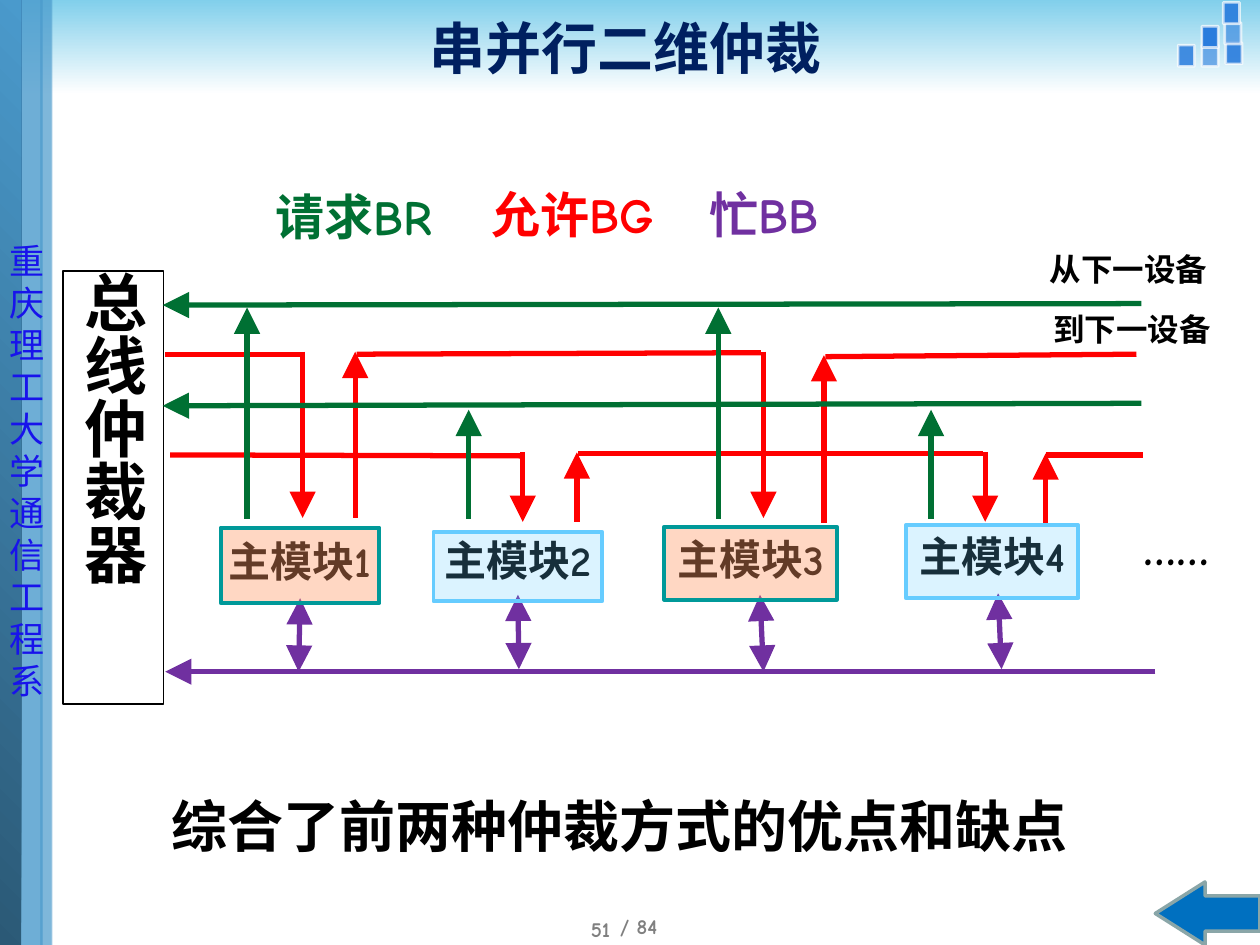
from lxml import etree
from pptx import Presentation
from pptx import util as u
from pptx.dml.color import RGBColor
from pptx.enum import lang, shapes, text
from pptx.oxml.ns import qn

SKY = RGBColor(0x81, 0xCF, 0xEB)
STEEL = RGBColor(0x4A, 0x9A, 0xCC)
DEEP = RGBColor(0x2B, 0x59, 0x76)
TILE = RGBColor(0x29, 0x7C, 0xDD)
WHITE = RGBColor(0xFF, 0xFF, 0xFF)
BLACK = RGBColor(0, 0, 0)
NAVY = RGBColor(0x00, 0x20, 0x60)
SIDE_BLUE = RGBColor(0x18, 0x13, 0xEB)
RED = RGBColor(0xFF, 0, 0)
GREEN = RGBColor(0x00, 0x70, 0x33)
PURPLE = RGBColor(0x70, 0x30, 0xA0)
ORANGE = RGBColor(0xFF, 0x99, 0x66)
TEAL = RGBColor(0x00, 0x99, 0x99)
LIGHT_BLUE = RGBColor(0x66, 0xCC, 0xFF)
ARROW_BLUE = RGBColor(0x00, 0x70, 0xC0)
ARROW_EDGE = RGBColor(0x8A, 0xA6, 0xA8)
GRAY = RGBColor(0x80, 0x80, 0x80)
FONT = "Comic Neue"

MODULES = [
    (4.45, 10.54, 3.2, 1.52, 10.64, ORANGE, 39, TEAL),
    (8.74, 10.59, 3.4, 1.4, 10.72, LIGHT_BLUE, 23, LIGHT_BLUE),
    (13.39, 10.52, 3.48, 1.47, 10.62, ORANGE, 39, TEAL),
    (18.26, 10.46, 3.48, 1.47, 10.59, LIGHT_BLUE, 23, LIGHT_BLUE),
]
BUSY_LINKS = [(6.02, 12.04, 6.02, 13.54), (10.46, 11.99, 10.46, 13.49),
              (15.32, 11.99, 15.39, 13.54), (20.12, 11.96, 20.19, 13.49)]
REQUESTS = [(23.01, 6.12, 3.28, 6.15), (23.01, 8.13, 3.28, 8.18),
            (4.98, 10.46, 4.98, 6.2), (14.48, 10.46, 14.48, 6.2),
            (9.45, 10.46, 9.45, 8.26), (18.77, 10.46, 18.77, 8.26)]
GRANT_WIRES = [(3.33, 7.14, 6.07, 7.14), (7.19, 7.14, 15.34, 7.11),
               (16.64, 7.19, 22.91, 7.14), (3.43, 9.17, 10.54, 9.19),
               (11.66, 9.14, 19.81, 9.14), (21.08, 9.17, 23.04, 9.17)]
GRANT_ARROWS = [(6.1, 7.09, 10.44), (7.16, 10.44, 7.09), (15.39, 7.09, 10.44),
                (16.61, 10.54, 7.16), (10.54, 9.12, 10.52), (11.63, 10.52, 9.12),
                (19.86, 9.12, 10.52), (21.08, 10.57, 9.14)]
TILES = [(24.71, 0.86, 90), (24.23, 0.91, 60), (23.75, 0.91, 85),
         (24.23, 0.53, 100), (24.69, 0.46, 60), (24.66, 0.05, 90)]


def cm(values):
    return [u.Cm(v) for v in values]


def set_alpha(color_parent, percent):
    clr = next(color_parent.iter(qn("a:srgbClr")))
    etree.SubElement(clr, qn("a:alpha")).set("val", str(percent * 1000))


def add_box(s, at, fill=None, alpha=100, line=None, width=1, line_alpha=100,
            kind=shapes.MSO_SHAPE.RECTANGLE):
    sp = s.shapes.add_shape(kind, *cm(at))
    sp.shadow.inherit = False
    if fill is None:
        sp.fill.background()
    else:
        sp.fill.solid()
        sp.fill.fore_color.rgb = fill
        if alpha < 100:
            set_alpha(sp._element.spPr.find(qn("a:solidFill")), alpha)
    if line is None:
        sp.line.fill.background()
    else:
        sp.line.color.rgb = line
        sp.line.width = u.Pt(width)
        if line_alpha < 100:
            set_alpha(sp._element.spPr.find(qn("a:ln")), line_alpha)
    return sp


def add_gradient(s, at, start, end, angle):
    sp = add_box(s, at)
    sp.fill.gradient()
    sp.fill.gradient_angle = angle
    for stop, color, pos in zip(sp.fill.gradient_stops, (start, end), (0, 1)):
        stop.color.rgb = color
        stop.position = pos


def write(sp, content, size=24, color=BLACK, bold=True, font=FONT,
          align=text.PP_ALIGN.LEFT, anchor=text.MSO_ANCHOR.TOP,
          inset=True, wrap=True, spacing=None, vertical=False):
    tf = sp.text_frame
    tf.word_wrap = wrap
    tf.vertical_anchor = anchor
    if not inset:
        tf.margin_left = tf.margin_right = tf.margin_top = tf.margin_bottom = 0
    if vertical:
        tf._txBody.bodyPr.set("vert", "eaVert")
    for i, words in enumerate(content.split("\n")):
        p = tf.add_paragraph() if i else tf.paragraphs[0]
        p.alignment = align
        p.line_spacing = spacing
        r = p.add_run()
        r.text = words
        r.font.size = u.Pt(size)
        r.font.bold = bold
        r.font.color.rgb = color
        r.font.name = font
        r.font.language_id = lang.MSO_LANGUAGE_ID.SIMPLIFIED_CHINESE
        ea = etree.SubElement(r._r.get_or_add_rPr(), qn("a:ea"))
        ea.set("typeface", font)


def add_text(s, at, content, **fmt):
    write(s.shapes.add_textbox(*cm(at)), content, **fmt)


def add_line(s, ends, color, arrows=("tailEnd",)):
    c = s.shapes.add_connector(shapes.MSO_CONNECTOR.STRAIGHT, *cm(ends))
    c.line.color.rgb = color
    c.line.width = u.Pt(3)
    ln = c.line._get_or_add_ln()
    for end in arrows:
        etree.SubElement(ln, qn("a:" + end), type="triangle", w="lg", len="lg")
    etree.SubElement(c._element.spPr, qn("a:effectLst"))
    return c


def add_backdrop(s):
    add_gradient(s, (0, 0, 25.4, 1.9), SKY, WHITE, 270)
    for x, y, alpha in TILES:
        add_box(s, (x, y, 0.33, 0.43), TILE, alpha, WHITE, 1.5, 70)
    add_box(s, (0.28, 0, 0.58, 19.05), STEEL, 80)
    add_gradient(s, (-0.03, 0, 0.46, 19.05), DEEP, STEEL, 45)
    add_box(s, (0.81, 0, 0.25, 19.05), STEEL, 54)
    add_box(s, (0.84, 0, 0.2, 19.05), STEEL, 37)
    add_text(s, (-0.05, 4.7, 1.78, 9.65), "重庆理工大学\n通信工程系", size=20,
             color=SIDE_BLUE, bold=False, font="Noto Sans CJK SC", spacing=u.Pt(24))


def add_modules(s):
    middle = dict(align=text.PP_ALIGN.CENTER, anchor=text.MSO_ANCHOR.MIDDLE, inset=False)
    arbiter = add_box(s, (1.27, 5.46, 2.03, 8.74), line=BLACK)
    write(arbiter, "总线仲裁器", size=36, vertical=True, **middle)
    for n, (module, ends) in enumerate(zip(MODULES, BUSY_LINKS), 1):
        x, y, w, h = module[:4]
        sp = add_box(s, (x, y, w, h), line=WHITE, width=3)
        write(sp, f"主模块{n}", **middle)
        link = add_line(s, ends, PURPLE, ("headEnd", "tailEnd"))
        if abs(ends[0] - x - w / 2) < 0.1:
            link.begin_connect(sp, 2)


def add_wires(s):
    add_line(s, (23.29, 13.54, 3.33, 13.54), PURPLE)
    for ends in GRANT_WIRES:
        add_line(s, ends, RED, ())
    for x, start, end in GRANT_ARROWS:
        add_line(s, (x, start, x, end), RED)
    for ends in REQUESTS:
        add_line(s, ends, GREEN)


def add_labels(s):
    add_text(s, (1.47, 0.18, 22.28, 1.52), "串并行二维仲裁", size=32, color=NAVY,
             align=text.PP_ALIGN.CENTER, anchor=text.MSO_ANCHOR.MIDDLE)
    for x, y, w, words, color in [(5.56, 3.76, 3.53, "请求BR", GREEN),
                                  (9.91, 3.73, 3.71, "允许BG", RED),
                                  (14.3, 3.73, 3.15, "忙BB", PURPLE),
                                  (23.06, 10.41, 2.41, "……", BLACK)]:
        add_text(s, (x, y, w, 1.1), words, size=28, color=color, inset=False)
    for x, y, words in [(21.16, 5.05, "从下一设备"), (21.23, 6.25, "到下一设备")]:
        add_text(s, (x, y, 3.23, 0.76), words, size=18, inset=False, wrap=False)
    add_text(s, (3.2, 15.7, 20.73, 1.65), "综合了前两种仲裁方式的优点和缺点",
             size=32, spacing=1.1)
    add_text(s, (11.23, 18.42, 1.07, 0.64), "51", size=12, color=GRAY, inset=False,
             align=text.PP_ALIGN.RIGHT, anchor=text.MSO_ANCHOR.MIDDLE)
    add_text(s, (12.5, 18.42, 1.07, 0.64), "/ 84", size=12, color=GRAY, inset=False)


def main():
    prs = Presentation()
    prs.slide_width, prs.slide_height = u.Cm(25.4), u.Cm(19.05)
    s = prs.slides.add_slide(prs.slide_layouts[6])
    add_backdrop(s)
    add_modules(s)
    add_wires(s)
    for x, _, w, h, top, fill, alpha, edge in MODULES:
        add_box(s, (x, top, w, h), fill, alpha, edge, 2.25)
    add_labels(s)
    back = add_box(s, (23.29, 17.78, 2.11, 1.27), ARROW_BLUE, line=ARROW_EDGE, width=2,
                   kind=shapes.MSO_SHAPE.LEFT_ARROW)
    back.adjustments[0], back.adjustments[1] = 0.56, 0.79
    prs.save("out.pptx")


if __name__ == "__main__":
    main()
